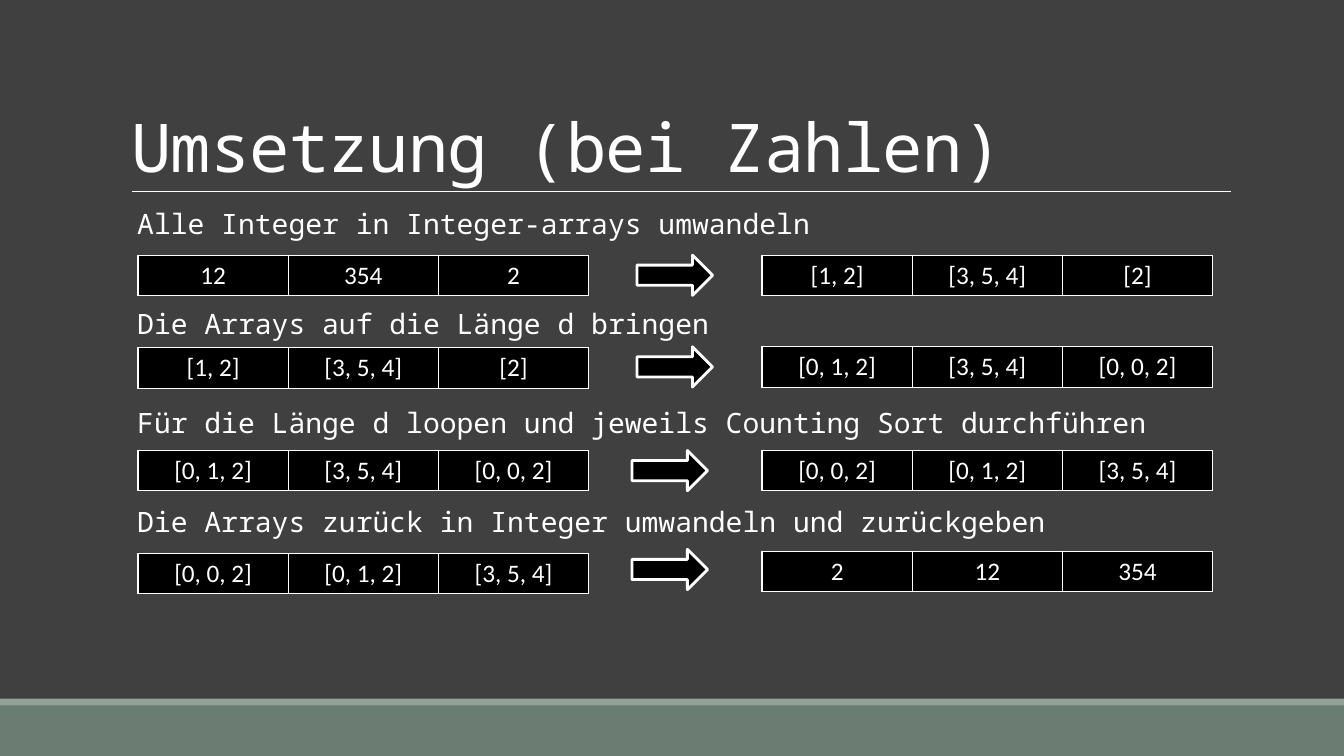
"""Build the slide on sorting numbers through digit arrays."""
from dataclasses import dataclass

import lxml.etree
import pptx
import pptx.dml.color
import pptx.enum.shapes
import pptx.enum.text
import pptx.oxml.ns
import pptx.util

Pt = pptx.util.Pt
SHAPE = pptx.enum.shapes.MSO_SHAPE
ALIGN = pptx.enum.text.PP_ALIGN
ANCHOR = pptx.enum.text.MSO_ANCHOR

TITLE = "Umsetzung (bei Zahlen)"
STEPS = [
    "Alle Integer in Integer-arrays umwandeln",
    "Die Arrays auf die Länge d bringen",
    "Für die Länge d loopen und jeweils Counting Sort durchführen",
    "Die Arrays zurück in Integer umwandeln und zurückgeben",
]
STAGES = [
    ["12", "354", "2"],
    ["[1, 2]", "[3, 5, 4]", "[2]"],
    ["[0, 1, 2]", "[3, 5, 4]", "[0, 0, 2]"],
    ["[0, 0, 2]", "[0, 1, 2]", "[3, 5, 4]"],
    ["2", "12", "354"],
]
BEFORE_TOPS = [182.2, 248.4, 321.8, 395.3]
AFTER_TOPS = [182.2, 247.7, 321.8, 393.8]
ARROW_SPOTS = [(455, 182.2), (455, 247.7), (451.4, 321.8), (451.4, 392.4)]

WIDTH, HEIGHT = 960, 540
BEFORE_LEFT, AFTER_LEFT = 98.6, 544.3
COL_WIDTH, ROW_HEIGHT = 107.3, 28.8
ARROW_WIDTH = 54
STEP_PITCH, STEP_LINE = 71, 24
FOOT_TOP, STRIPE_HEIGHT = 504, 5


@dataclass(frozen=True)
class Theme:
    """Colours, fonts and type sizes."""
    back: str = "404040"
    foot: str = "6B7D72"
    stripe: str = "93A299"
    cell: str = "000000"
    ink: str = "FFFFFF"
    mono: str = "Noto Sans Mono"
    sans: str = "Calibri"
    title: int = 48
    step: int = 20
    value: int = 18


THEME = Theme()


def rgb(value):
    """Return the colour object for a hex value."""
    return pptx.dml.color.RGBColor.from_string(value)


def paint(fill, color):
    """Make a fill solid."""
    fill.solid()
    fill.fore_color.rgb = rgb(color)


def add_run(p, text, size, font):
    """Add one formatted run to a paragraph."""
    r = p.add_run()
    r.text = text
    r.font.size = Pt(size)
    r.font.name = font
    r.font.color.rgb = rgb(THEME.ink)
    return r


def add_block(s, kind, left, top, width, height, color):
    """Add a filled shape without shadow or outline."""
    sp = s.shapes.add_shape(kind, Pt(left), Pt(top), Pt(width), Pt(height))
    sp.shadow.inherit = False
    paint(sp.fill, color)
    sp.line.fill.background()
    return sp


def add_frame(s):
    """Draw the foot bars and the rule under the title."""
    add_block(s, SHAPE.RECTANGLE, 0, FOOT_TOP, WIDTH, HEIGHT - FOOT_TOP, THEME.foot)
    add_block(s, SHAPE.RECTANGLE, 0, FOOT_TOP - STRIPE_HEIGHT, WIDTH, STRIPE_HEIGHT, THEME.stripe)
    rule = s.shapes.add_connector(
        pptx.enum.shapes.MSO_CONNECTOR.STRAIGHT, Pt(94.3), Pt(136.8), Pt(879.1), Pt(136.8))
    rule.line.color.rgb = rgb(THEME.ink)
    rule.line.width = Pt(0.5)
    lxml.etree.SubElement(rule.element.spPr, pptx.oxml.ns.qn("a:effectLst"))


def add_title(s):
    """Place and fill the title placeholder."""
    sp = s.shapes.title
    sp.left, sp.top, sp.width, sp.height = Pt(86.4), Pt(22.3), Pt(792), Pt(114.5)
    tf = sp.text_frame
    tf.auto_size = pptx.enum.text.MSO_AUTO_SIZE.NONE
    tf.vertical_anchor = ANCHOR.BOTTOM
    p = tf.paragraphs[0]
    p.alignment = ALIGN.LEFT
    p.line_spacing = 0.85
    r = add_run(p, TITLE, THEME.title, THEME.mono)
    r.font._element.set("spc", "-50")


def add_steps(s):
    """Write the steps as evenly spaced paragraphs."""
    sp = s.shapes.add_textbox(Pt(98), Pt(147.6), Pt(780), Pt(STEP_PITCH * len(STEPS)))
    tf = sp.text_frame
    tf.word_wrap = True
    tf.margin_left = tf.margin_right = tf.margin_top = tf.margin_bottom = 0
    for i, step in enumerate(STEPS):
        p = tf.add_paragraph() if i else tf.paragraphs[0]
        p.line_spacing = Pt(STEP_LINE)
        p.space_before = Pt(STEP_PITCH - STEP_LINE if i else 0)
        add_run(p, step, THEME.step, THEME.mono)


def add_borders(cell):
    """Give a cell a thin line on each side."""
    qn = pptx.oxml.ns.qn
    tc_pr = cell._tc.get_or_add_tcPr()
    for side in ("a:lnL", "a:lnR", "a:lnT", "a:lnB"):
        ln = lxml.etree.SubElement(tc_pr, qn(side), w=str(Pt(1)))
        solid = lxml.etree.SubElement(ln, qn("a:solidFill"))
        lxml.etree.SubElement(solid, qn("a:srgbClr"), val=THEME.ink)


def add_array(s, values, left, top):
    """Draw one array as a table with a single row."""
    table = s.shapes.add_table(
        1, len(values), Pt(left), Pt(top), Pt(COL_WIDTH * len(values)), Pt(ROW_HEIGHT)).table
    table.first_row = table.horz_banding = False
    for column, cell, value in zip(table.columns, table.rows[0].cells, values):
        column.width = Pt(COL_WIDTH)
        add_borders(cell)
        paint(cell.fill, THEME.cell)
        p = cell.text_frame.paragraphs[0]
        p.alignment = ALIGN.CENTER
        add_run(p, value, THEME.value, THEME.sans)


def add_arrow(s, left, top):
    """Draw the arrow between two arrays."""
    sp = add_block(s, SHAPE.RIGHT_ARROW, left, top, ARROW_WIDTH, ROW_HEIGHT, THEME.cell)
    sp.line.color.rgb = rgb(THEME.ink)
    sp.line.width = Pt(2)


def main():
    """Assemble and save the slide."""
    prs = pptx.Presentation()
    prs.slide_width, prs.slide_height = Pt(WIDTH), Pt(HEIGHT)
    s = prs.slides.add_slide(prs.slide_layouts[5])
    paint(s.background.fill, THEME.back)
    add_frame(s)
    add_title(s)
    add_steps(s)
    for i, (left, top) in enumerate(ARROW_SPOTS):
        add_array(s, STAGES[i], BEFORE_LEFT, BEFORE_TOPS[i])
        add_array(s, STAGES[i + 1], AFTER_LEFT, AFTER_TOPS[i])
        add_arrow(s, left, top)
    prs.save("out.pptx")


if __name__ == "__main__":
    main()
